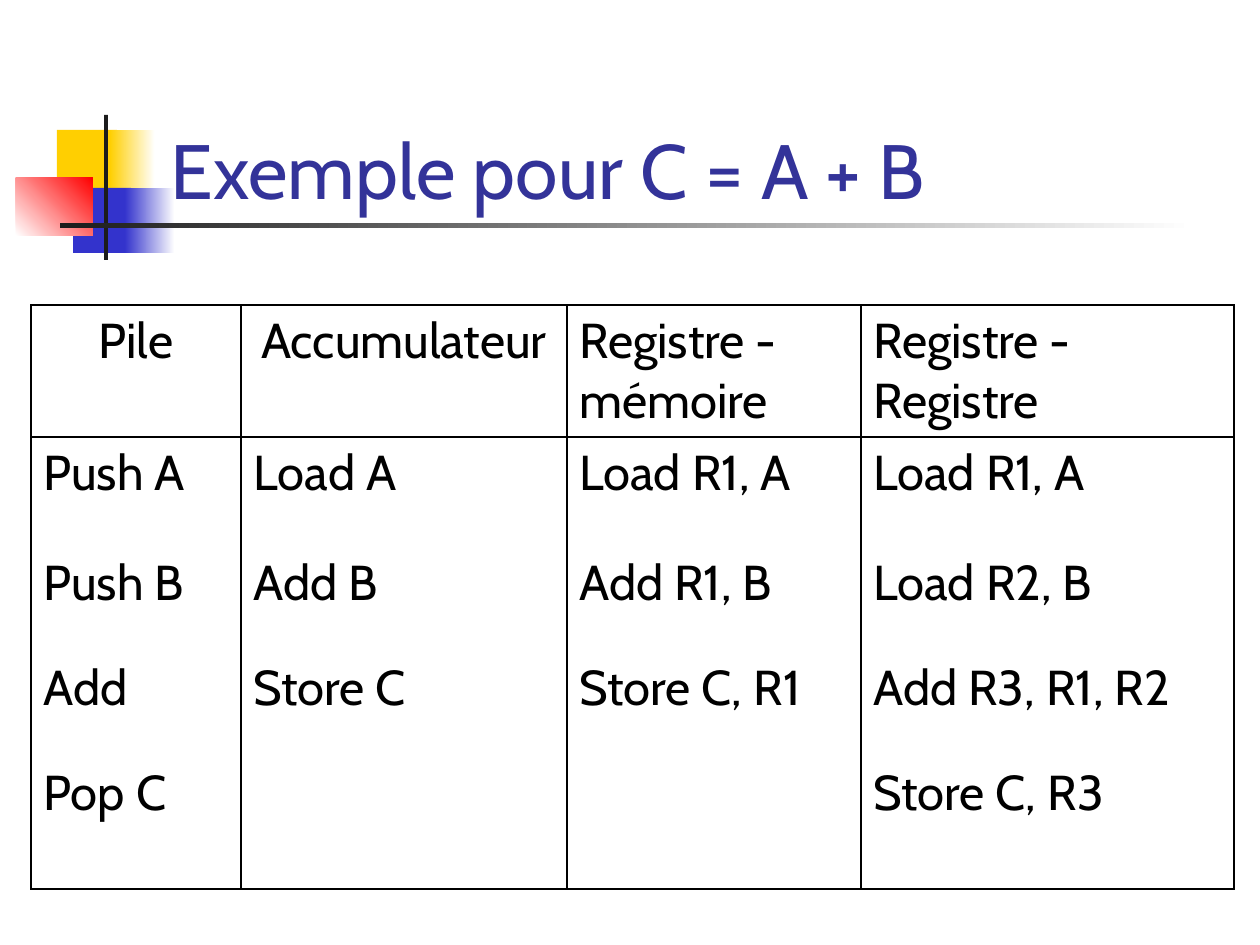
"""Build a slide comparing code for C = A + B on four machine types."""
from lxml.etree import SubElement
from pptx import Presentation
from pptx.dml.color import RGBColor
from pptx.enum.shapes import MSO_SHAPE
from pptx.enum.text import MSO_ANCHOR, PP_ALIGN
from pptx.oxml.ns import qn
from pptx.util import Pt

TITLE = "Exemple pour C = A + B"
ROWS = [
    ("Pile", "Accumulateur", "Registre - mémoire", "Registre - Registre"),
    ("Push A", "Load A", "Load R1, A", "Load R1, A"),
    ("Push B", "Add B", "Add R1, B", "Load R2, B"),
    ("Add", "Store C", "Store C, R1", "Add R3, R1, R2"),
    ("Pop C", "", "", "Store C, R3"),
]
THEME = {
    "font": "Cabin", "head": 44, "body": 28, "rule": 1.08,
    "title": "333399", "text": "000000", "white": "FFFFFF",
    "gold": "FFCF01", "blue": "3333CC", "red": "FF0000", "dark": "1C1C1C",
}
DECOR = [
    ((57, 130, 60, 65), ("gold",), 0),
    ((110, 130, 45, 65), ("gold", "white"), 0),
    ((73, 188, 58, 65), ("blue",), 0),
    ((125, 188, 50, 65), ("blue", "white"), 0),
    ((16, 178, 77, 58), ("white", "red"), 45),
    ((104, 115, 4, 145), ("dark",), 0),
    ((60, 223, 1134, 5), ("dark", "white"), 0),
]
COLS = (210, 326, 294, 373)
HIGHS = (132, 110, 105, 105, 132)
SCALE = 914400 / 126


def px(n):
    return round(n * SCALE)


def color(name):
    return RGBColor.from_string(THEME[name])


def write(frame, text, size="body", ink="text", align=PP_ALIGN.LEFT):
    para = frame.paragraphs[0]
    para.alignment = align
    run = para.add_run()
    run.text = text
    run.font.name = THEME["font"]
    run.font.size = Pt(THEME[size])
    run.font.color.rgb = color(ink)


def block(slide, box, inks, angle):
    shape = slide.shapes.add_shape(MSO_SHAPE.RECTANGLE, *map(px, box))
    shape.shadow.inherit = False
    shape.line.fill.background()
    if len(inks) == 1:
        shape.fill.solid()
        shape.fill.fore_color.rgb = color(inks[0])
        return
    shape.fill.gradient()
    shape.fill.gradient_angle = angle
    for stop, ink in zip(shape.fill.gradient_stops, inks):
        stop.color.rgb = color(ink)


def border(cell, sides):
    props = cell._tc.get_or_add_tcPr()
    for side in "LRTB":
        line = SubElement(props, qn(f"a:ln{side}"), w=str(Pt(THEME["rule"])))
        if side in sides:
            fill = SubElement(line, qn("a:solidFill"))
            SubElement(fill, qn("a:srgbClr"), val=THEME["text"])
        else:
            SubElement(line, qn("a:noFill"))


def grid(slide):
    box = (31, 305, sum(COLS), sum(HIGHS))
    table = slide.shapes.add_table(len(ROWS), len(COLS), *map(px, box)).table
    table.first_row = table.horz_banding = False
    for col, wide in zip(table.columns, COLS):
        col.width = px(wide)
    for row, high in zip(table.rows, HIGHS):
        row.height = px(high)
    edges = {0: "LRTB", 1: "LRT", len(ROWS) - 1: "LRB"}
    for r, row in enumerate(ROWS):
        for c, text in enumerate(row):
            cell = table.cell(r, c)
            border(cell, edges.get(r, "LR"))
            cell.fill.background()
            if text:
                mid = r == 0 and c < 2
                write(cell.text_frame, text,
                      align=PP_ALIGN.CENTER if mid else PP_ALIGN.LEFT)


def main():
    deck = Presentation()
    deck.slide_width, deck.slide_height = px(1260), px(945)
    slide = deck.slides.add_slide(deck.slide_layouts[5])
    for box, inks, angle in DECOR:
        block(slide, box, inks, angle)
    title = slide.shapes.title
    title.left, title.top, title.width, title.height = map(
        px, (158, 63, 1073, 158))
    title.text_frame.vertical_anchor = MSO_ANCHOR.BOTTOM
    write(title.text_frame, TITLE, size="head", ink="title")
    slide.shapes._spTree.append(title._element)
    grid(slide)
    deck.save("out.pptx")


if __name__ == "__main__":
    main()
